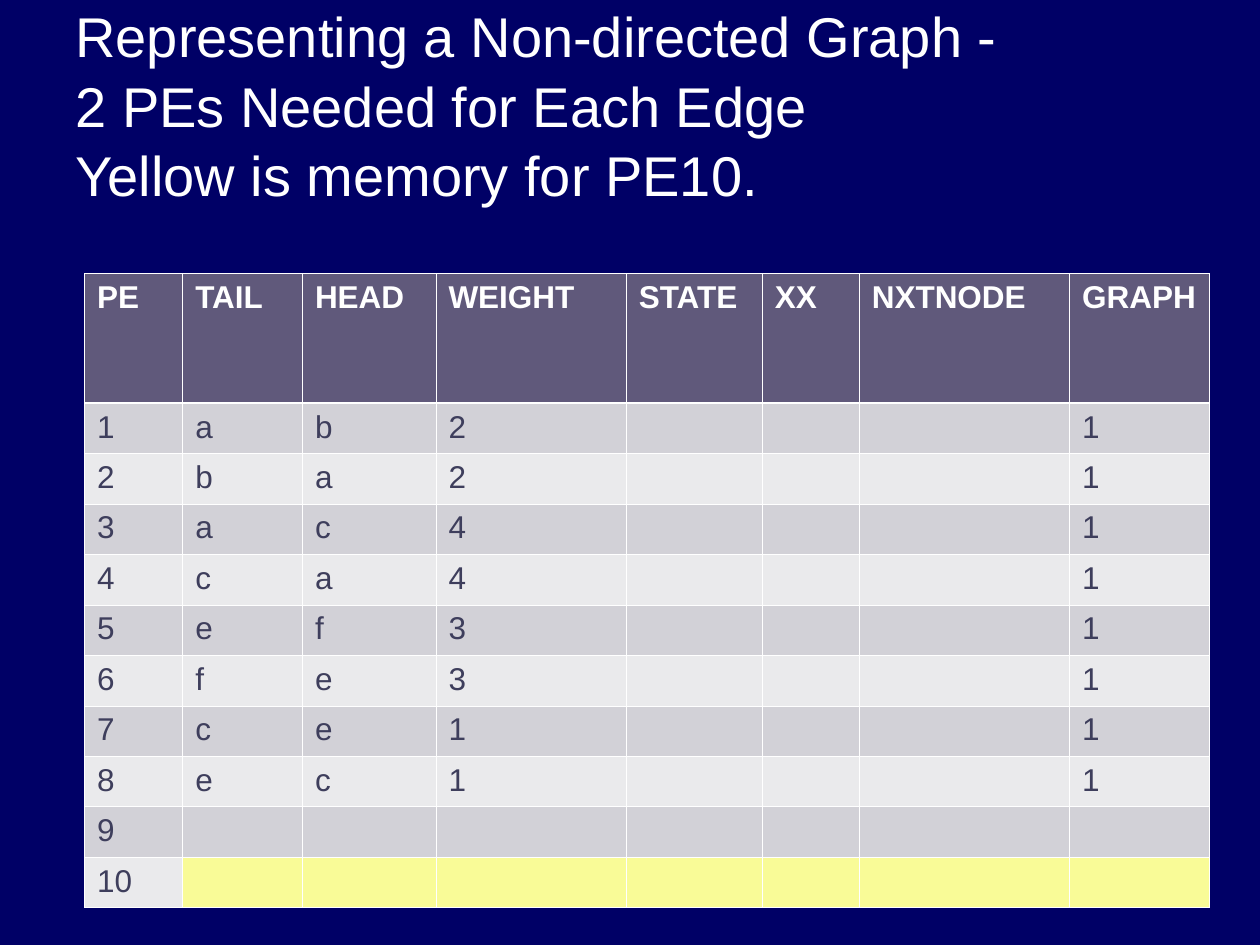
import pptx
import pptx.dml.color
import pptx.enum.text
import pptx.oxml
import pptx.oxml.ns
import pptx.util
from pptx.util import Inches

TITLE_LINES = [
    "Representing a Non-directed Graph -",
    "2 PEs Needed for Each Edge",
    "Yellow is memory for PE10.",
]
HEADERS = ["PE", "TAIL", "HEAD", "WEIGHT", "STATE", "XX", "NXTNODE", "GRAPH"]
COLUMN_WIDTHS = [0.78, 0.95, 1.06, 1.51, 1.08, 0.77, 1.67, 1.11]
EDGES = [("a", "b", "2"), ("a", "c", "4"), ("e", "f", "3"), ("c", "e", "1")]
PE_COUNT = 10
HEADER_HEIGHT, ROW_HEIGHT = 1.03, 0.4
THIN, THICK = 0.45, 1.47

WHITE, NAVY, INK = "FFFFFF", "000066", "3E3E5C"
HEADER_FILL, YELLOW = "60597B", "F9FB97"
BANDS = ["EAEAEC", "D2D1D7"]


def color(hex_string):
    return pptx.dml.color.RGBColor.from_string(hex_string)


def write_text(frame, text, size=18, ink=INK, bold=False, line_spacing=None):
    paragraph = frame.paragraphs[0]
    paragraph.text = text
    if line_spacing:
        paragraph.line_spacing = line_spacing
    for run in paragraph.runs:
        run.font.name = "Arial"
        run.font.size = pptx.util.Pt(size)
        run.font.bold = bold
        run.font.color.rgb = color(ink)


def add_borders(cell, top=THIN, bottom=THIN):
    properties = cell._tc.get_or_add_tcPr()
    for side, width in (("L", THIN), ("R", THIN), ("T", top), ("B", bottom)):
        properties.append(pptx.oxml.parse_xml(
            f'<a:ln{side} {pptx.oxml.ns.nsdecls("a")} w="{pptx.util.Pt(width)}">'
            f'<a:solidFill><a:srgbClr val="{WHITE}"/></a:solidFill></a:ln{side}>'
        ))


def memory_rows():
    """Store every edge in two PEs, one for each direction; spare PEs stay empty."""
    directed = []
    for tail, head, weight in EDGES:
        directed += [(tail, head, weight), (head, tail, weight)]
    rows = [[str(number), *edge, "", "", "", "1"]
            for number, edge in enumerate(directed, 1)]
    for number in range(len(rows) + 1, PE_COUNT + 1):
        rows.append([str(number)] + [""] * (len(HEADERS) - 1))
    return rows


def cell_fill(row, column):
    if row == 0:
        return HEADER_FILL
    if row == PE_COUNT and column > 0:
        return YELLOW
    return BANDS[row % 2]


def add_title(slide, left, top, width, height):
    shape = slide.shapes.add_textbox(
        Inches(left), Inches(top), Inches(width), Inches(height))
    frame = shape.text_frame
    frame.word_wrap = True
    frame.vertical_anchor = pptx.enum.text.MSO_ANCHOR.MIDDLE
    frame.margin_top, frame.margin_bottom = Inches(0.1), Inches(0.04)
    write_text(frame, "\v".join(TITLE_LINES), size=32, ink=WHITE, line_spacing=1.04)


def add_memory_table(slide, left, top, width, height):
    rows = [HEADERS] + memory_rows()
    table = slide.shapes.add_table(
        len(rows), len(HEADERS),
        Inches(left), Inches(top), Inches(width), Inches(height)).table
    table.horz_banding = False
    for column, column_width in zip(table.columns, COLUMN_WIDTHS):
        column.width = Inches(column_width)
    for index, row in enumerate(table.rows):
        row.height = Inches(ROW_HEIGHT if index else HEADER_HEIGHT)

    for row, values in enumerate(rows):
        is_header = row == 0
        for column, value in enumerate(values):
            cell = table.cell(row, column)
            add_borders(cell, top=THICK if row == 1 else THIN,
                        bottom=THICK if is_header else THIN)
            cell.fill.solid()
            cell.fill.fore_color.rgb = color(cell_fill(row, column))
            if value:
                write_text(cell.text_frame, value,
                           ink=WHITE if is_header else INK, bold=is_header)


def main():
    presentation = pptx.Presentation()
    presentation.slide_width, presentation.slide_height = Inches(10), Inches(7.5)
    slide = presentation.slides.add_slide(presentation.slide_layouts[6])
    slide.background.fill.solid()
    slide.background.fill.fore_color.rgb = color(NAVY)
    add_title(slide, 0.5, 0.3, 9, 0.98)
    add_memory_table(slide, 0.67, 2.17, sum(COLUMN_WIDTHS),
                     HEADER_HEIGHT + PE_COUNT * ROW_HEIGHT)
    presentation.save("out.pptx")


if __name__ == "__main__":
    main()
